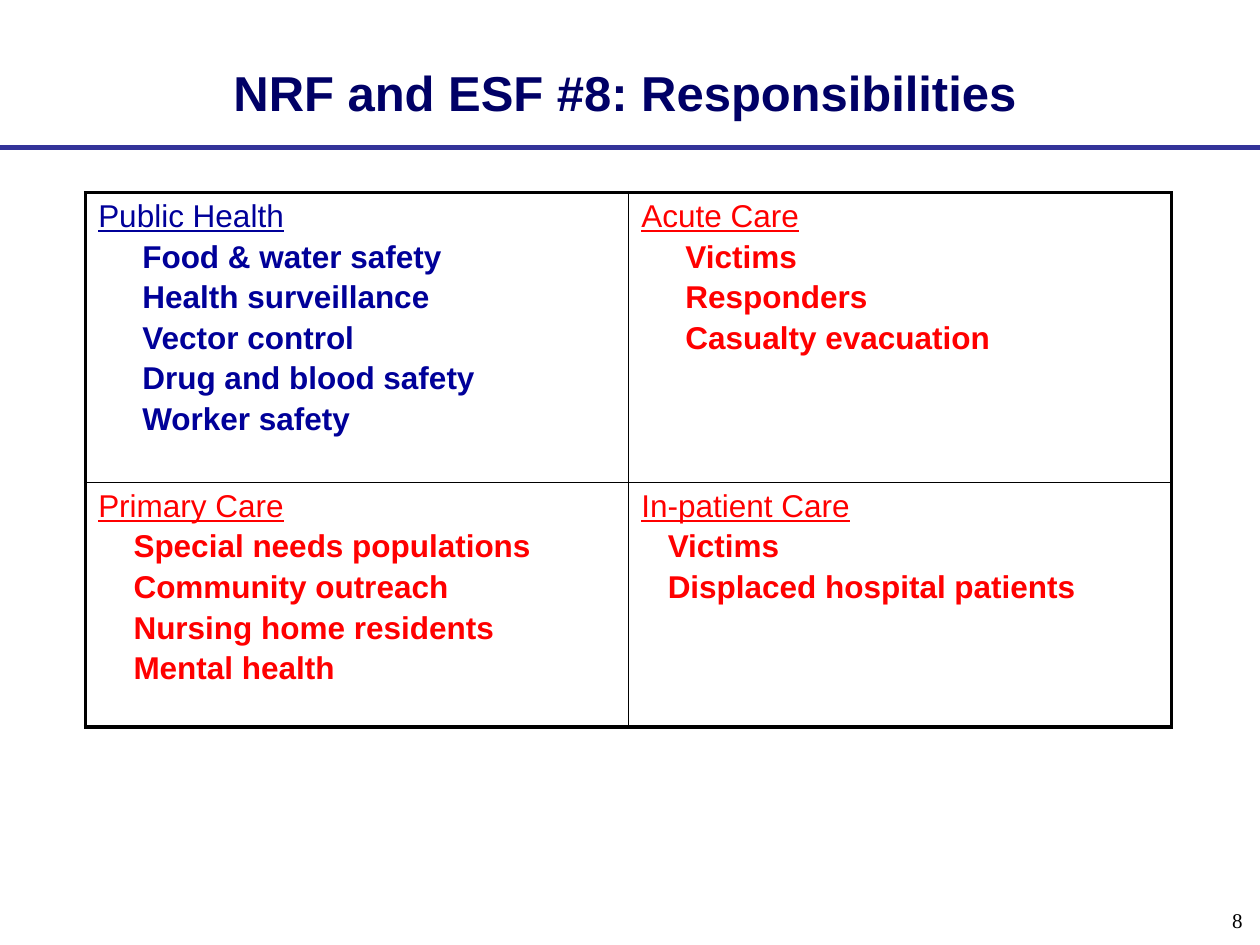
from lxml import etree
from pptx import Presentation
from pptx.dml.color import RGBColor
from pptx.enum.shapes import MSO_CONNECTOR
from pptx.enum.text import MSO_ANCHOR, PP_ALIGN
from pptx.oxml.ns import qn
from pptx.util import Inches, Pt

STRAIGHT = MSO_CONNECTOR.STRAIGHT
MIDDLE = MSO_ANCHOR.MIDDLE
LEFT, CENTER, RIGHT = PP_ALIGN.LEFT, PP_ALIGN.CENTER, PP_ALIGN.RIGHT

NAVY = RGBColor(0x00, 0x00, 0x66)
BLUE = RGBColor(0x00, 0x00, 0x99)
RULE = RGBColor(0x33, 0x33, 0x99)
RED = RGBColor(0xFF, 0x00, 0x00)
BLACK = RGBColor(0x00, 0x00, 0x00)

OUTER, INNER = 2.25, 1
COL_WIDTHS = [4.31, 4.31]
ROW_HEIGHTS = [2.3, 1.94]

# Each cell: heading, colour, indent of the items in inches, items
RESPONSIBILITIES = [
    [("Public Health", BLUE, 0.35,
      ["Food & water safety", "Health surveillance", "Vector control",
       "Drug and blood safety", "Worker safety"]),
     ("Acute Care", RED, 0.35,
      ["Victims", "Responders", "Casualty evacuation"])],
    [("Primary Care", RED, 0.28,
      ["Special needs populations", "Community outreach",
       "Nursing home residents", "Mental health"]),
     ("In-patient Care", RED, 0.21,
      ["Victims", "Displaced hospital patients"])],
]


def write(p, text, size=18, font="Arial", color=BLACK, bold=False,
          underline=False, align=LEFT, before=0, indent=0):
    p.alignment = align
    p.space_before = Pt(before)
    if indent:
        pPr = p._p.get_or_add_pPr()
        pPr.set("marL", str(Inches(indent)))
        pPr.set("indent", "0")
    r = p.add_run()
    r.text = text
    r.font.size = Pt(size)
    r.font.name = font
    r.font.bold = bold
    r.font.underline = underline
    r.font.color.rgb = color


def set_borders(cell, widths):
    """Draw black borders; widths are points for left, right, top, bottom."""
    tcPr = cell._tc.get_or_add_tcPr()
    for i, (side, width) in enumerate(zip("LRTB", widths)):
        ln = etree.Element(qn(f"a:ln{side}"), w=str(Pt(width)))
        fill = etree.SubElement(ln, qn("a:solidFill"))
        etree.SubElement(fill, qn("a:srgbClr"), val=str(BLACK))
        tcPr.insert(i, ln)


class SlideBuilder:
    def __init__(self, prs):
        self.s = prs.slides.add_slide(prs.slide_layouts[5])

    def rule(self, y, width, color):
        line = self.s.shapes.add_connector(
            STRAIGHT, 0, Inches(y), Inches(10), Inches(y))
        line.line.color.rgb = color
        line.line.width = Pt(width)
        etree.SubElement(line._element.spPr, qn("a:effectLst"))

    def title(self, text, x, y, w, h):
        sp = self.s.shapes.title
        sp.left, sp.top, sp.width, sp.height = map(Inches, (x, y, w, h))
        tf = sp.text_frame
        tf.vertical_anchor = MIDDLE
        write(tf.paragraphs[0], text, size=28, color=NAVY, bold=True,
              align=CENTER)

    def text(self, text, x, y, w, h, **fmt):
        sp = self.s.shapes.add_textbox(*map(Inches, (x, y, w, h)))
        tf = sp.text_frame
        tf.word_wrap = True
        write(tf.paragraphs[0], text, **fmt)

    def table(self, rows, x, y):
        n_rows, n_cols = len(rows), len(rows[0])
        table = self.s.shapes.add_table(
            n_rows, n_cols, Inches(x), Inches(y),
            Inches(sum(COL_WIDTHS)), Inches(sum(ROW_HEIGHTS))).table
        table.first_row = table.horz_banding = False
        for col, width in zip(table.columns, COL_WIDTHS):
            col.width = Inches(width)
        for row, height in zip(table.rows, ROW_HEIGHTS):
            row.height = Inches(height)
        for i, row in enumerate(rows):
            for j, content in enumerate(row):
                cell = table.cell(i, j)
                self.fill_cell(cell, *content)
                edges = (j == 0, j == n_cols - 1, i == 0, i == n_rows - 1)
                set_borders(cell, [OUTER if e else INNER for e in edges])

    def fill_cell(self, cell, heading, color, indent, items):
        cell.fill.background()
        tf = cell.text_frame
        write(tf.paragraphs[0], heading, color=color, underline=True)
        for item in items:
            write(tf.add_paragraph(), item, color=color, bold=True,
                  before=3, indent=indent)


def main():
    prs = Presentation()
    prs.slide_width, prs.slide_height = Inches(10), Inches(7.5)
    b = SlideBuilder(prs)
    b.rule(1.17, 3, RULE)
    b.title("NRF and ESF #8: Responsibilities", 1.1, 0.26, 7.72, 0.94)
    b.text("8", 7.63, 7.15, 2.33, 0.52, size=12, font="Times New Roman",
           align=RIGHT)
    b.table(RESPONSIBILITIES, 0.68, 1.53)
    prs.save("out.pptx")


if __name__ == "__main__":
    main()
